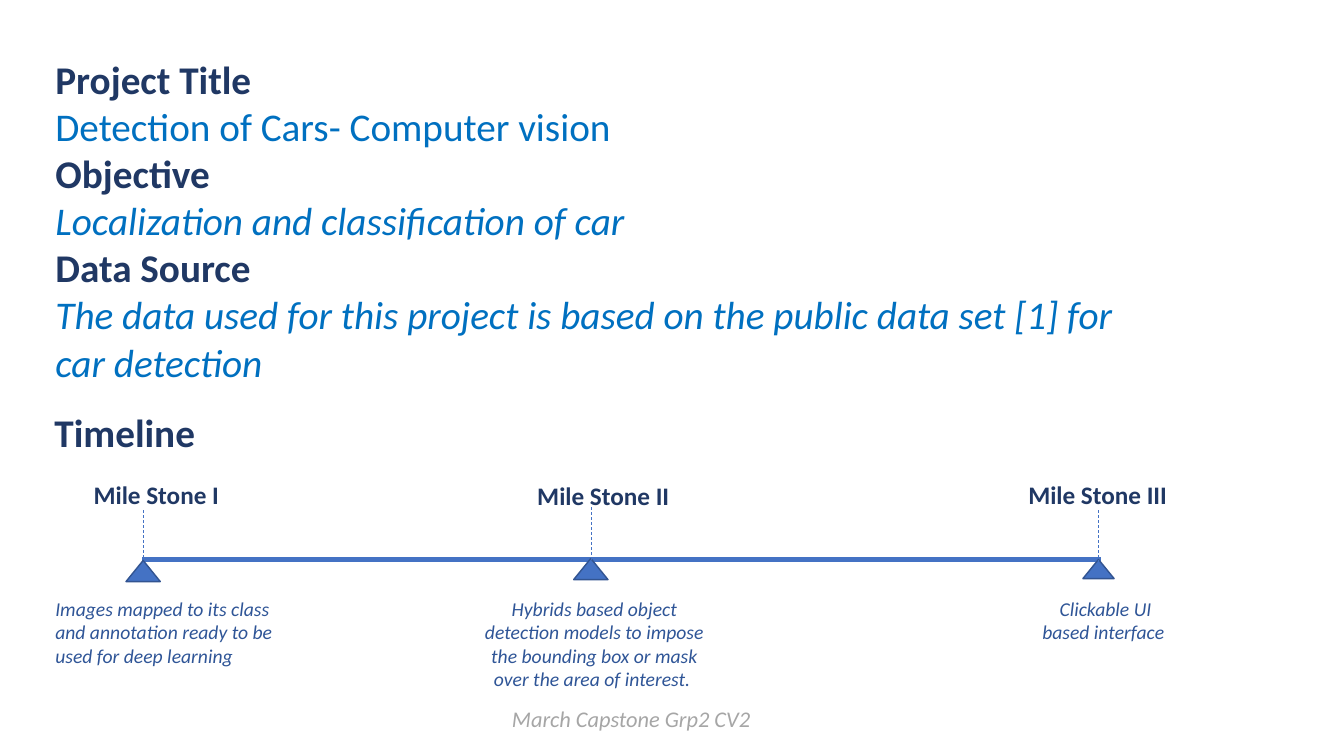
from lxml import etree
from pptx import Presentation
from pptx.dml.color import RGBColor
from pptx.enum.dml import MSO_LINE
from pptx.enum.shapes import MSO_CONNECTOR, MSO_SHAPE
from pptx.enum.text import MSO_ANCHOR, MSO_AUTO_SIZE, PP_ALIGN
from pptx.oxml.ns import qn
from pptx.util import Emu, Pt

COLORS = {"navy": "203864", "blue": "0070C0", "note": "2F5597",
          "shape": "4472C4", "edge": "325491", "grey": "A6A6A6"}

HEADING = {"size": 28, "color": "navy", "bold": True, "italic": False}
PLAIN = {"size": 28, "color": "blue", "bold": False, "italic": False}
SLANTED = {**PLAIN, "italic": True}
LABEL = {"size": 18, "color": "navy", "bold": True}
NOTE = {"size": 14, "color": "note", "italic": True}
FOOTER = {"size": 16, "color": "grey", "italic": True}


class SlideBuilder:
    """Holds the style and the current slide; lengths are px, 100 to the inch."""
    FONT = "Calibri"
    SCALE = 9144

    def __init__(self, prs):
        self.s = prs.slides.add_slide(prs.slide_layouts[1])

    def px(self, *values):
        return [Emu(v * self.SCALE) for v in values]

    def color(self, name):
        return RGBColor.from_string(COLORS[name])

    def set_lines(self, tf, lines, align, wrap):
        tf.word_wrap = wrap
        tf.auto_size = MSO_AUTO_SIZE.NONE
        tf.vertical_anchor = MSO_ANCHOR.TOP
        for i, (text, style) in enumerate(lines):
            p = tf.paragraphs[0] if i == 0 else tf.add_paragraph()
            p.alignment = align
            p.space_before = Pt(0)
            r = p.add_run()
            r.text = text
            values = {**style, "name": self.FONT, "size": Pt(style["size"])}
            r.font.color.rgb = self.color(values.pop("color"))
            for key, value in values.items():
                setattr(r.font, key, value)

    def text(self, box, text, style, align=PP_ALIGN.LEFT, wrap=True):
        sp = self.s.shapes.add_textbox(*self.px(*box))
        self.set_lines(sp.text_frame, [(text, style)], align, wrap)

    def placeholder(self, sp, box, lines, wrap=True):
        sp.left, sp.top, sp.width, sp.height = self.px(*box)
        self.set_lines(sp.text_frame, lines, PP_ALIGN.LEFT, wrap)

    def unbullet(self, sp):
        for p in sp.text_frame.paragraphs:
            pPr = p._p.get_or_add_pPr()
            pPr.set("marL", "0")
            pPr.set("indent", "0")
            etree.SubElement(pPr, qn("a:buNone"))

    def line(self, x1, y1, x2, y2, width, dash=None):
        cn = self.s.shapes.add_connector(MSO_CONNECTOR.STRAIGHT, *self.px(x1, y1, x2, y2))
        cn.line.color.rgb = self.color("shape")
        cn.line.width = Pt(width)
        if dash:
            cn.line.dash_style = dash
        etree.SubElement(cn._element.spPr, qn("a:effectLst"))

    def triangle(self, *box):
        sp = self.s.shapes.add_shape(MSO_SHAPE.ISOSCELES_TRIANGLE, *self.px(*box))
        sp.shadow.inherit = False
        sp.fill.solid()
        sp.fill.fore_color.rgb = self.color("shape")
        sp.line.color.rgb = self.color("edge")
        sp.line.width = Pt(1)


def main():
    prs = Presentation()
    prs.slide_width, prs.slide_height = Emu(1333 * 9144), Emu(750 * 9144)
    b = SlideBuilder(prs)
    title, body = b.s.placeholders[0], b.s.placeholders[1]

    # Footer
    b.text((498, 695, 300, 37), "March Capstone Grp2 CV2", FOOTER)

    # Project summary
    b.placeholder(body, (45, 50, 1076, 340), [
        ("Project Title", HEADING),
        ("Detection of Cars- Computer vision", PLAIN),
        ("Objective", HEADING),
        ("Localization and classification of car", SLANTED),
        ("Data Source", HEADING),
        ("The data used for this project is based on the public data set [1] "
         "for car detection", SLANTED),
    ])
    b.unbullet(body)

    # Timeline heading and axis
    b.placeholder(title, (44, 400, 161, 57), [("Timeline", HEADING)], wrap=False)
    b.line(141, 555, 1092, 555, 3)

    # Milestones: label box, marker box, dashed stem, note box and text
    left, center = PP_ALIGN.LEFT, PP_ALIGN.CENTER
    milestones = [
        ("Mile Stone I", (83, 471, 145, 40), (125, 556, 34, 21), (142, 506, 555),
         (45, 587, 251, 81), left,
         "Images mapped to its class and annotation ready to be used for deep learning"),
        ("Mile Stone II", (523, 472, 152, 40), (569, 554, 34, 21), (587, 503, 556),
         (464, 587, 251, 104), center,
         "Hybrids based object detection models to impose the bounding box "
         "or mask over the area of interest. "),
        ("Mile Stone III", (1010, 471, 159, 40), (1074, 555, 31, 19), (1089, 506, 559),
         (1018, 587, 157, 57), center, "Clickable UI based interface "),
    ]
    for name, label_box, marker, (x, top, bottom), note_box, align, note in milestones:
        b.triangle(*marker)
        b.line(x, top, x, bottom, 0.5, MSO_LINE.DASH)
        b.text(label_box, name, LABEL, wrap=False)
        b.text(note_box, note, NOTE, align)

    prs.save("out.pptx")


if __name__ == "__main__":
    main()
